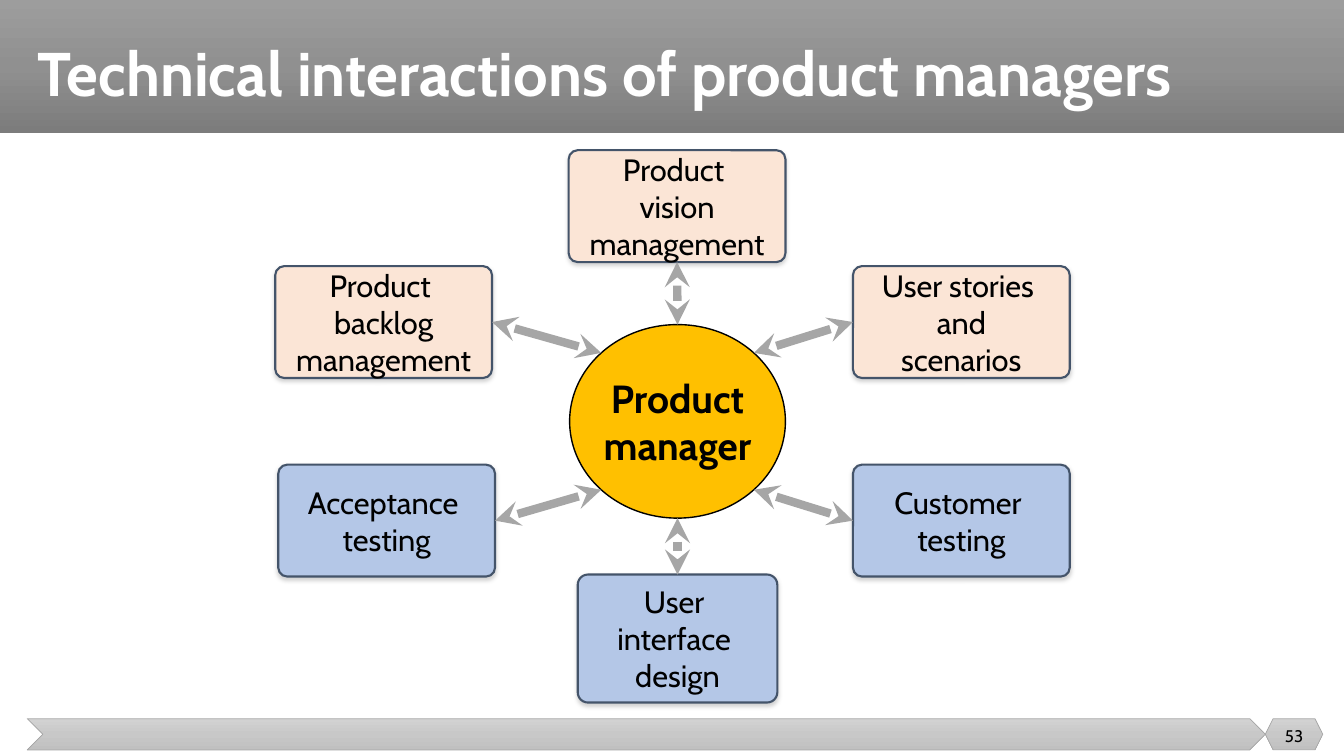
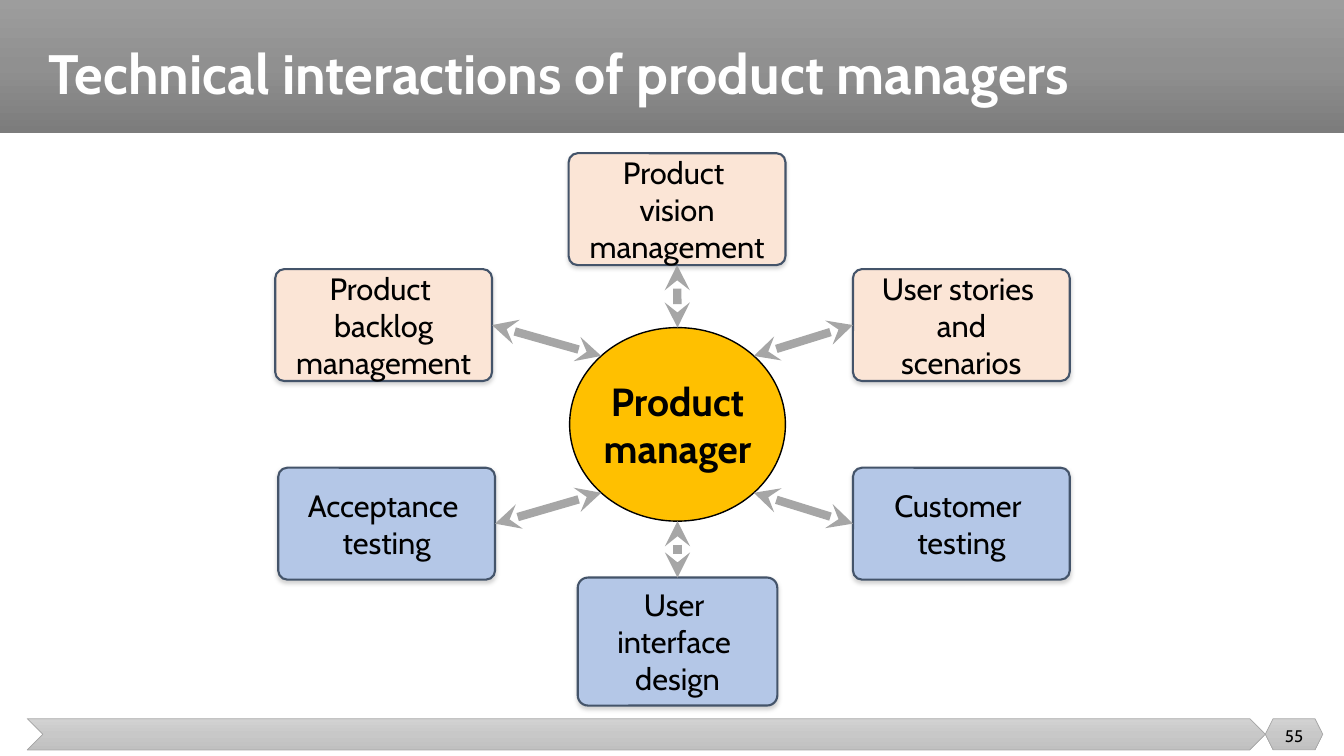
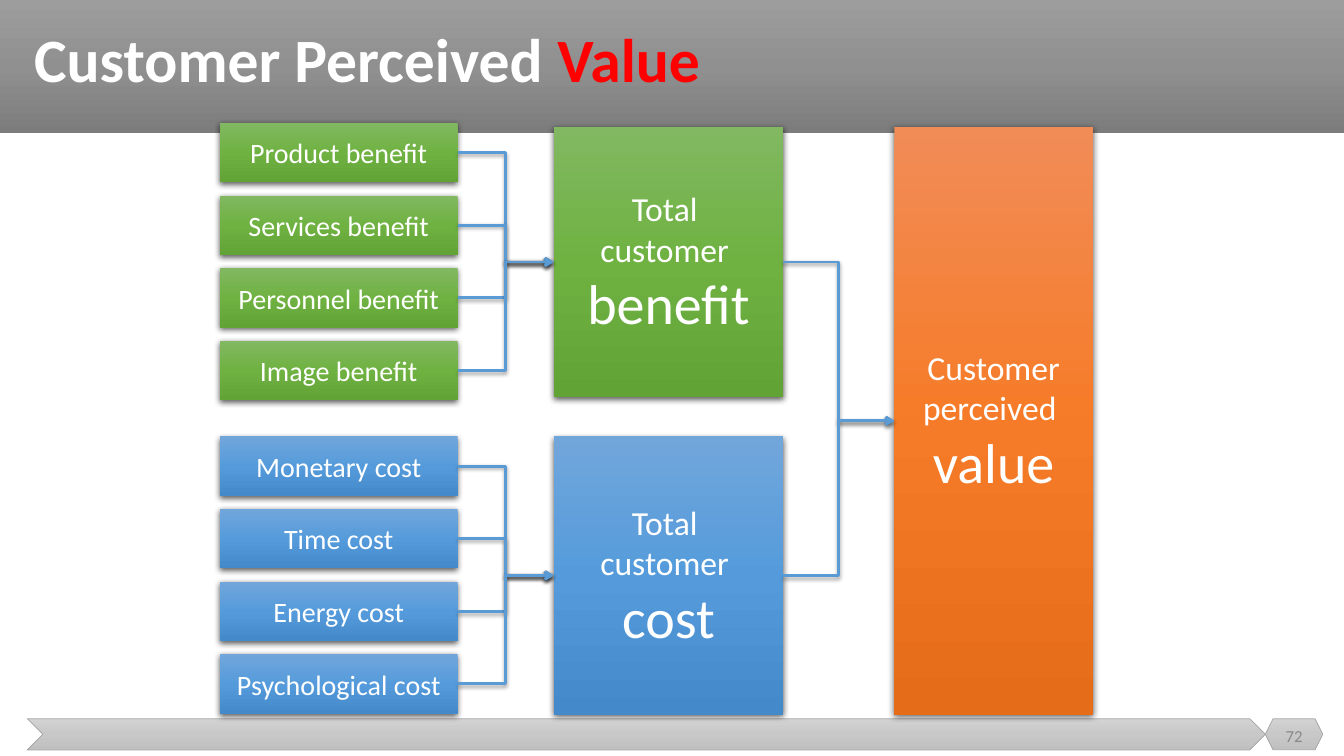
from math import sqrt

from lxml import etree
from pptx import Presentation
from pptx.dml.color import RGBColor
from pptx.enum.shapes import MSO_CONNECTOR, MSO_SHAPE
from pptx.enum.text import MSO_ANCHOR, PP_ALIGN
from pptx.oxml.ns import qn
from pptx.util import Inches, Pt

RECT, ROUND, OVAL = MSO_SHAPE.RECTANGLE, MSO_SHAPE.ROUNDED_RECTANGLE, MSO_SHAPE.OVAL
CHEVRON, HEXAGON = MSO_SHAPE.CHEVRON, MSO_SHAPE.HEXAGON
STRAIGHT, ELBOW = MSO_CONNECTOR.STRAIGHT, MSO_CONNECTOR.ELBOW
LEFT, CENTER, MIDDLE = PP_ALIGN.LEFT, PP_ALIGN.CENTER, MSO_ANCHOR.MIDDLE
TOP_SIDE, LEFT_SIDE, BOTTOM_SIDE, RIGHT_SIDE = range(4)

# Gradients run top to bottom: start, middle, end
BAND = ("9D9D9D", "909090", "7C7C7C")
FOOTER = ("D2D2D2", "C8C8C8", "C0C0C0")
GREEN = ("81B861", "6FB242", "62A336")
BLUE = ("71A6DB", "559BDB", "448ACA")
ORANGE = ("F18C57", "F67B28", "E56C19")
PEACH, PALE_BLUE, GOLD = "FBE5D6", "B4C7E7", "FFC000"
BLACK, WHITE, RED = "000000", "FFFFFF", "FF0000"

# Shadows: colour, opacity %, blur and distance in points
SOFT = ("808080", 35, 3.1, 1.8)
STRONG = (BLACK, 63, 4.5, 1.5)
FAINT = (BLACK, 38, 3.1, 1.6)

W, H = 13.33, 7.5


def paint(sp, fill=None, line=None, width=1, shadow=None, head=None, tail=None):
    """Set fill (hex or gradient), line, arrowheads and shadow."""
    props = sp._element.spPr
    if isinstance(fill, tuple):
        grad = etree.Element(qn("a:gradFill"), rotWithShape="1")
        stops = etree.SubElement(grad, qn("a:gsLst"))
        for i, color in enumerate(fill):
            gs = etree.SubElement(stops, qn("a:gs"), pos=str(i * 50000))
            etree.SubElement(gs, qn("a:srgbClr"), val=color)
        etree.SubElement(grad, qn("a:lin"), ang="5400000", scaled="0")
        props.find(qn("a:prstGeom")).addnext(grad)
    elif fill:
        sp.fill.solid()
        sp.fill.fore_color.rgb = RGBColor.from_string(fill)
    if line:
        sp.line.color.rgb = RGBColor.from_string(line)
        sp.line.width = Pt(width)
    else:
        sp.line.fill.background()
    for tag, arrow in (("a:headEnd", head), ("a:tailEnd", tail)):
        if arrow:
            etree.SubElement(props.find(qn("a:ln")), qn(tag), type=arrow)
    effects = etree.SubElement(props, qn("a:effectLst"))
    if shadow:
        color, opacity, blur, dist = shadow
        outer = etree.SubElement(effects, qn("a:outerShdw"), blurRad=str(Pt(blur)),
                                 dist=str(Pt(dist)), dir="5400000", rotWithShape="0")
        clr = etree.SubElement(outer, qn("a:srgbClr"), val=color)
        etree.SubElement(clr, qn("a:alpha"), val=str(opacity * 1000))


def write(sp, *parts, font="Cabin", size=22, color=BLACK, bold=False,
          align=CENTER, inset=None, spacing=None):
    """Write one paragraph; each part is a text or (text, size, colour)."""
    tf = sp.text_frame
    tf.word_wrap = True
    tf.vertical_anchor = MIDDLE
    if inset is not None:
        tf.margin_left = tf.margin_right = tf.margin_top = tf.margin_bottom = Inches(inset)
    p = tf.paragraphs[0]
    p.alignment = align
    if spacing:
        p.line_spacing = spacing
    for part in parts:
        text, pts, hue = (part, size, color) if isinstance(part, str) else part
        for i, words in enumerate(text.split("\n")):
            if i:
                p.add_line_break()
            if words:
                r = p.add_run()
                r.text = words
                r.font.name, r.font.size, r.font.bold = font, Pt(pts), bold
                r.font.color.rgb = RGBColor.from_string(hue)


prs = Presentation()
prs.slide_width, prs.slide_height = Inches(W), Inches(H)

# Shared frame: title band, footer band, page number, title
FRAME = [
    (RECT, (0, 0, W, 1.32), BAND, None),
    (CHEVRON, (0.27, 7.13, 12.28, 0.31), FOOTER, "A5A5A5"),
    (HEXAGON, (12.55, 7.13, 0.57, 0.31), FOOTER, "A5A5A5"),
]
INTERACTIONS = ["Technical interactions of product managers"]
VALUE = ["Customer Perceived ", ("Value", 44, RED)]
PAGES = [  # number, its colour, font, title, title size, title place
    ("53", BLACK, "Cabin", INTERACTIONS, 44, (0.27, 0, 11.6, 1.52)),
    ("55", BLACK, "Cabin", INTERACTIONS, 39.6, (0.38, 0.13, 11.37, 1.25)),
    ("72", "898989", "Calibri", VALUE, 44, (0.24, 0.02, 10.94, 1.2)),
]
slides = []
for number, number_color, font, title, size, place in PAGES:
    s = prs.slides.add_slide(prs.slide_layouts[6])
    slides.append(s)
    for kind, at, fill, line in FRAME:
        paint(s.shapes.add_shape(kind, *map(Inches, at)), fill, line, 0.5)
    write(s.shapes.add_textbox(*map(Inches, place)), *title, font=font, size=size,
          color=WHITE, bold=True, align=LEFT, spacing=0.9)
    write(s.shapes.add_textbox(*map(Inches, (12.55, 7.1, 0.57, 0.4))), number,
          font=font, size=12, color=number_color)

# Slides 1 and 2: six activities around the product manager
BOX_W, BOX_H = 2.15, 1.11
COL_LEFT, COL_MID, COL_RIGHT = 2.73, 5.64, 8.46
ROW_TOP, ROW_HIGH, ROW_LOW, ROW_BOTTOM = 1.49, 2.64, 4.61, 5.7
HUB_X, HUB_Y, HUB_RX, HUB_RY = 6.72, 4.18, 1.07, 0.96
D = sqrt(0.5)
ACTIVITIES = [  # text, left, top, width, height, fill, joined side, direction from hub
    ("Product \nbacklog management", COL_LEFT, ROW_HIGH, BOX_W, BOX_H, PEACH, RIGHT_SIDE, (-D, -D)),
    ("Product \nvision management", COL_MID, ROW_TOP, BOX_W, BOX_H, PEACH, BOTTOM_SIDE, (0, -1)),
    ("Acceptance \ntesting", COL_LEFT + 0.03, ROW_LOW, BOX_W, BOX_H, PALE_BLUE, RIGHT_SIDE, (-D, D)),
    ("User \ninterface \ndesign", 5.73, ROW_BOTTOM, 1.98, 1.27, PALE_BLUE, TOP_SIDE, (0, 1)),
    ("Customer \ntesting", COL_RIGHT, ROW_LOW, BOX_W, BOX_H, PALE_BLUE, LEFT_SIDE, (D, D)),
    ("User stories \n and \nscenarios", COL_RIGHT, ROW_HIGH, BOX_W, BOX_H, PEACH, LEFT_SIDE, (D, -D)),
]
for s, shift in zip(slides, (0, 0.03)):
    hub_y = HUB_Y + shift
    hub = s.shapes.add_shape(OVAL, Inches(HUB_X - HUB_RX), Inches(hub_y - HUB_RY),
                             Inches(2 * HUB_RX), Inches(2 * HUB_RY))
    paint(hub, GOLD, BLACK, 1)
    write(hub, "Product manager", size=28, bold=True, inset=0)
    for text, x, y, w, h, fill, side, (dx, dy) in ACTIVITIES:
        box = s.shapes.add_shape(ROUND, *map(Inches, (x, y + shift, w, h)))
        box.adjustments[0] = 0.08
        paint(box, fill, "44546A", 1.5, SOFT)
        write(box, text, inset=0)
        start = Inches(HUB_X + dx * HUB_RX), Inches(hub_y + dy * HUB_RY)
        arrow = s.shapes.add_connector(STRAIGHT, *start, *start)
        arrow.end_connect(box, side)
        paint(arrow, line="A6A6A6", width=6, head="stealth", tail="stealth")

# Slide 3: benefits and costs add up to customer perceived value
s = slides[2]
ITEM_X, ITEM_W, ITEM_H, ITEM_STEP = 2.18, 2.36, 0.59, 0.72
TOTAL_X, TOTAL_W = 5.49, 2.28
GROUPS = [  # total, fill, first item top, total top, total height, items
    ("benefit", GREEN, 1.22, 1.26, 2.68, ["Product", "Services", "Personnel", "Image"]),
    ("cost", BLUE, 4.33, 4.33, 2.76, ["Monetary", "Time", "Energy", "Psychological"]),
]
value = s.shapes.add_shape(RECT, *map(Inches, (8.87, 1.26, 1.97, 5.83)))
paint(value, ORANGE, shadow=STRONG)
write(value, "Customer perceived \n", ("value", 40, WHITE), font="Calibri", size=24, color=WHITE)
links = []
for name, fill, item_y, total_y, total_h, items in GROUPS:
    total = s.shapes.add_shape(RECT, *map(Inches, (TOTAL_X, total_y, TOTAL_W, total_h)))
    paint(total, fill, shadow=STRONG)
    write(total, "Total \ncustomer \n", (name, 40, WHITE), font="Calibri", size=24, color=WHITE)
    links.append((total, value))
    for i, item in enumerate(items):
        box = s.shapes.add_shape(RECT, *map(Inches, (ITEM_X, item_y + i * ITEM_STEP, ITEM_W, ITEM_H)))
        paint(box, fill, shadow=STRONG)
        write(box, f"{item} {name}", font="Calibri", size=20, color=WHITE)
        links.append((box, total))
for source, target in links:
    link = s.shapes.add_connector(ELBOW, 0, 0, 0, 0)
    link.begin_connect(source, RIGHT_SIDE)
    link.end_connect(target, LEFT_SIDE)
    paint(link, line="5B9BD5", width=2, shadow=FAINT, tail="arrow")

prs.save("out.pptx")
